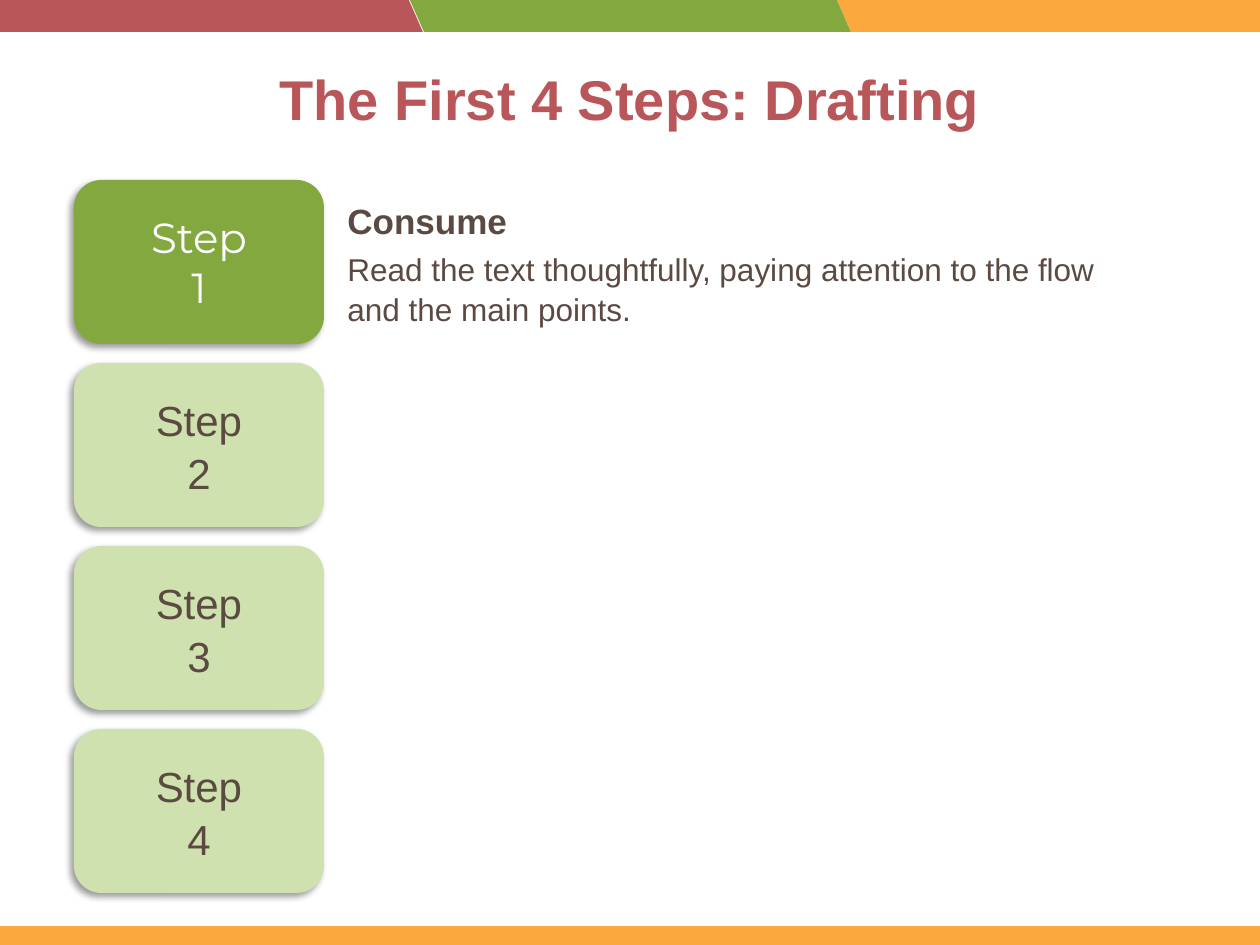
from dataclasses import dataclass

from lxml.etree import SubElement
from pptx import Presentation
from pptx.dml.color import RGBColor
from pptx.enum.shapes import MSO_SHAPE as Preset
from pptx.enum.text import MSO_ANCHOR as Anchor, PP_ALIGN as Align
from pptx.oxml.ns import qn
from pptx.shapes.autoshape import Shape
from pptx.slide import Slide
from pptx.text.text import TextFrame
from pptx.util import Emu, Pt

PX_PER_INCH = 126
SLIDE_WIDTH, SLIDE_HEIGHT = 1260, 945
RED, GREEN, ORANGE = "B95659", "83A83F", "FBA93D"
PALE_GREEN, BROWN, WHITE = "CFE1AE", "5B4A42", "FFFFFF"


@dataclass
class Band:
    left: int
    color: str


@dataclass
class Step:
    number: int
    fill: str = PALE_GREEN
    color: str = BROWN
    font: str = "Arial"
    line_spacing: float = 1.05


BANDS = [Band(837, ORANGE), Band(-18, RED), Band(410, GREEN)]
STEPS = [Step(1, GREEN, WHITE, "Montserrat", 1.0), Step(2), Step(3), Step(4)]
STEP_TOP, STEP_PITCH = 180, 183


def px(length: int) -> Emu:
    return Emu(round(length * 914400 / PX_PER_INCH))


def rgb(color: str) -> RGBColor:
    return RGBColor.from_string(color)


def add_block(slide: Slide, preset: Preset, left: int, top: int,
              width: int, height: int, color: str) -> Shape:
    shape = slide.shapes.add_shape(preset, px(left), px(top), px(width), px(height))
    shape.shadow.inherit = False
    shape.fill.solid()
    shape.fill.fore_color.rgb = rgb(color)
    shape.line.fill.background()
    return shape


def write(frame: TextFrame, text: str, *, size: int, color: str,
          font: str = "Arial", bold: bool = False, align: Align = Align.LEFT,
          space: int = 0, line_spacing: float = 1.0) -> None:
    """Fill the empty first paragraph of the frame, or append a new one."""
    first = frame.paragraphs[0]
    paragraph = frame.add_paragraph() if first.text else first
    paragraph.text = text
    paragraph.alignment = align
    paragraph.space_before = paragraph.space_after = Pt(space)
    paragraph.line_spacing = line_spacing
    for run in paragraph.runs:
        run.font.name = font
        run.font.size = Pt(size)
        run.font.bold = bold
        run.font.color.rgb = rgb(color)


def add_shadow(shape: Shape) -> None:
    """Cast a soft shadow towards the lower left."""
    effects = shape.element.spPr.find(qn("a:effectLst"))
    shadow = SubElement(effects, qn("a:outerShdw"), blurRad=str(Pt(4)),
                        dist=str(Pt(3)), dir=str(135 * 60000), rotWithShape="0")
    color = SubElement(shadow, qn("a:srgbClr"), val="000000")
    SubElement(color, qn("a:alpha"), val="40000")


def draw_bands(slide: Slide) -> None:
    for band in BANDS:
        shape = add_block(slide, Preset.PARALLELOGRAM, band.left, 0, 441, 32, band.color)
        shape.adjustments[0] = 0.44
        shape.element.spPr.xfrm.set("flipH", "1")
    add_block(slide, Preset.RECTANGLE, 0, 926, SLIDE_WIDTH, 19, ORANGE)


def draw_title(slide: Slide, text: str) -> None:
    title = slide.shapes.title
    title.left, title.top, title.width, title.height = map(px, (87, 53, 1086, 183))
    frame = title.text_frame
    frame.vertical_anchor = Anchor.TOP
    frame.margin_top = px(12)
    write(frame, text, size=32, color=RED, bold=True, align=Align.CENTER)


def draw_step(slide: Slide, step: Step) -> None:
    top = STEP_TOP + (step.number - 1) * STEP_PITCH
    shape = add_block(slide, Preset.ROUNDED_RECTANGLE, 74, top, 250, 164, step.fill)
    add_shadow(shape)
    frame = shape.text_frame
    frame.vertical_anchor = Anchor.MIDDLE
    write(frame, f"Step\v{step.number}", size=24, color=step.color, font=step.font,
          align=Align.CENTER, line_spacing=step.line_spacing)


def draw_description(slide: Slide, heading: str, body: str) -> None:
    box = slide.shapes.add_textbox(*map(px, (335, 193, 805, 139)))
    frame = box.text_frame
    frame.word_wrap = True
    frame.vertical_anchor = Anchor.MIDDLE
    write(frame, heading, size=20, color=BROWN, bold=True, space=2, line_spacing=1.05)
    write(frame, body, size=18, color=BROWN, space=2, line_spacing=1.05)


def main() -> None:
    presentation = Presentation()
    presentation.slide_width = px(SLIDE_WIDTH)
    presentation.slide_height = px(SLIDE_HEIGHT)
    slide = presentation.slides.add_slide(presentation.slide_layouts[5])
    draw_bands(slide)
    draw_title(slide, "The First 4 Steps: Drafting")
    for step in STEPS:
        draw_step(slide, step)
    draw_description(
        slide, "Consume",
        "Read the text thoughtfully, paying attention to the flow and the main points.")
    presentation.save("out.pptx")


if __name__ == "__main__":
    main()
